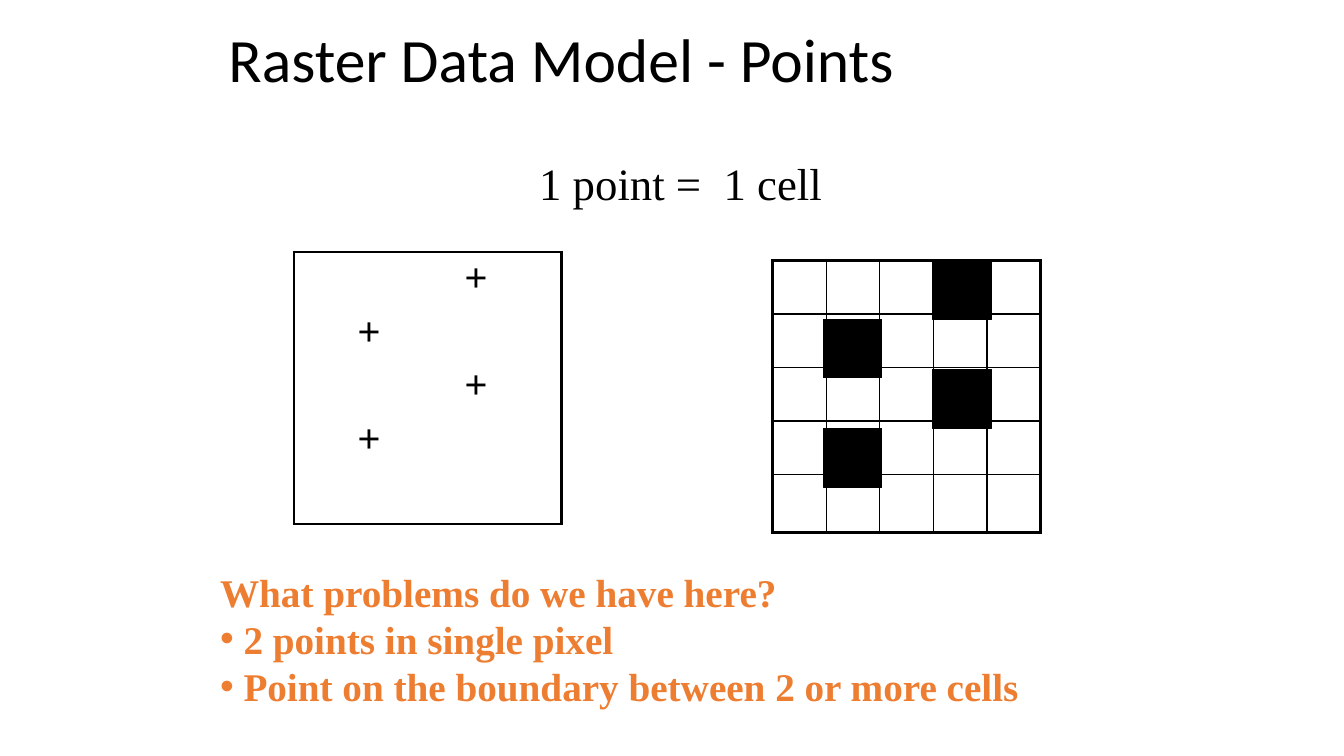
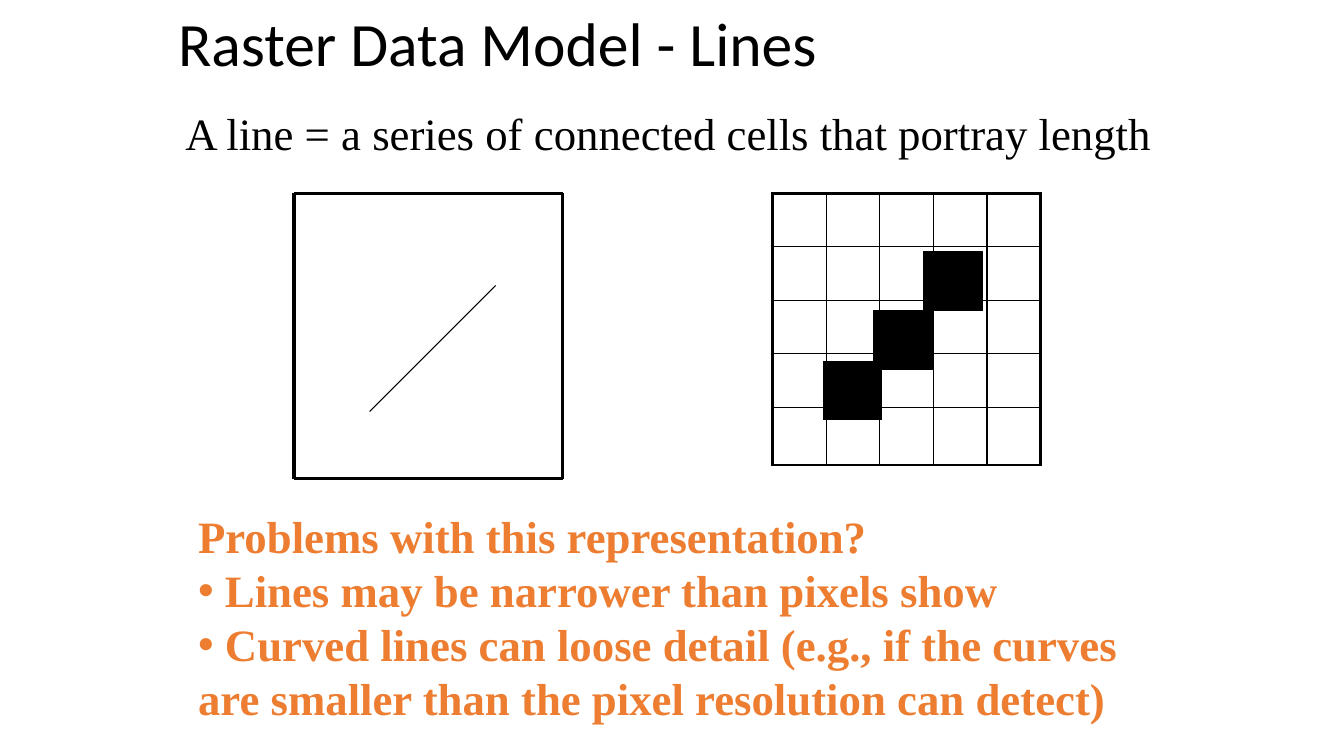
from pptx import Presentation
from pptx import util as u
from pptx.dml.color import RGBColor
from pptx.enum import shapes, text
from pptx.oxml.ns import qn
from lxml import etree

PX = 9525
BLACK, ORANGE = "000000", "ED7D31"
SERIF = {"name": "Times New Roman", "size": u.Pt(32)}
LIST = {"name": "Times New Roman", "bold": True}
TITLE = {"name": "Calibri", "size": u.Pt(44)}
MARK = {"name": "Arial", "size": u.Pt(28)}
LEFT, RIGHT = 280, 736
CELL, LAST, COUNT = 51, 55, 5
THICK, THIN, HAIR = 2.25, 1, 0.75


def color(code):
    return RGBColor.from_string(code)


def px(*nums):
    return [u.Emu(n * PX) for n in nums]


def put(obj, vals):
    for key, val in vals.items():
        setattr(obj, key, val)


def edge(props, side, spot, width):
    line = etree.Element(qn("a:ln" + side), w=str(u.Pt(width)))
    if width:
        fill = etree.SubElement(line, qn("a:solidFill"))
        etree.SubElement(fill, qn("a:srgbClr"), val=BLACK)
    else:
        etree.SubElement(line, qn("a:noFill"))
    props.insert(spot, line)


class Deck:
    def __init__(self):
        self.show = Presentation()
        put(self.show, {"slide_width": 1280 * PX, "slide_height": 720 * PX})
        self.slide = None

    def start(self, title, box):
        self.slide = self.show.slides.add_slide(self.show.slide_layouts[1])
        head = self.slide.shapes.title
        self.place(head, box)
        head.text_frame.vertical_anchor = text.MSO_ANCHOR.MIDDLE
        para = head.text_frame.paragraphs[0]
        put(para, {"alignment": text.PP_ALIGN.LEFT, "line_spacing": 0.9})
        self.words(para, title, TITLE)

    def place(self, shape, box):
        put(shape, dict(zip(("left", "top", "width", "height"), px(*box))))
        put(shape.text_frame, {"word_wrap": True, "auto_size": text.MSO_AUTO_SIZE.NONE})

    def words(self, para, line, style, shade=BLACK):
        run = para.add_run()
        run.text = line
        put(run.font, style)
        run.font.color.rgb = color(shade)

    def label(self, line, box):
        shape = self.slide.shapes.add_textbox(*px(*box))
        shape.text_frame.word_wrap = True
        self.words(shape.text_frame.paragraphs[0], line, SERIF)

    def bullets(self, lines, box, size):
        body = self.slide.placeholders[1]
        self.place(body, box)
        frame = body.text_frame
        for i, line in enumerate(lines):
            para = frame.add_paragraph() if i else frame.paragraphs[0]
            props = para._p.get_or_add_pPr()
            for key in ("marL", "indent"):
                props.set(key, "0")
            if i:
                etree.SubElement(props, qn("a:buChar"), char="•")
            else:
                etree.SubElement(props, qn("a:buNone"))
            put(para, {"space_before": u.Pt(0), "line_spacing": 1.0})
            self.words(para, line, {**LIST, "size": u.Pt(size)}, ORANGE)

    def grid(self, left, top, inner, marks=()):
        side = CELL * COUNT
        frame = self.slide.shapes.add_table(
            COUNT, COUNT, *px(left, top, side, side + LAST - CELL))
        table = frame.table
        put(table, {"first_row": False, "horz_banding": False})
        end = COUNT - 1
        for i in range(COUNT):
            table.columns[i].width = CELL * PX
            table.rows[i].height = (LAST if i == end else CELL) * PX
        for row in range(COUNT):
            for col in range(COUNT):
                cell = table.cell(row, col)
                cell.fill.background()
                put(cell, {"margin_top": 4 * PX, "margin_bottom": 0})
                rims = {"L": col == 0, "R": col == end, "T": row == 0, "B": row == end}
                for spot, (key, rim) in enumerate(rims.items()):
                    edge(cell._tc.tcPr, key, spot, THICK if rim else inner)
                if (row, col) in marks:
                    self.words(cell.text_frame.paragraphs[0], "+", MARK)

    def blocks(self, spots):
        for spot in spots:
            block = self.slide.shapes.add_shape(
                shapes.MSO_SHAPE.RECTANGLE, *px(*spot, 56, 56))
            block.shadow.inherit = False
            block.fill.solid()
            block.fill.fore_color.rgb = color(BLACK)
            block.line.color.rgb = color(BLACK)
            block.line.width = u.Pt(HAIR)

    def line(self, ends, width):
        line = self.slide.shapes.add_connector(shapes.MSO_CONNECTOR.STRAIGHT, *px(*ends))
        line.line.color.rgb = color(BLACK)
        line.line.width = u.Pt(width)
        etree.SubElement(line._element.spPr, qn("a:effectLst"))

    def frame(self, left, top, right, base):
        for y in (top, base):
            self.line((left, y, right, y), THICK)
        for x in (left, right):
            self.line((x, top, x, base), THICK)


def points(deck):
    deck.start("Raster Data Model - Points", (208, 0, 864, 120))
    deck.label("1 point =  1 cell", (504, 144, 320, 60))
    deck.grid(LEFT, 240, 0, {(0, 3), (1, 1), (2, 3), (3, 1)})
    deck.grid(RIGHT, 248, THIN)
    deck.blocks([(888, 248), (784, 304), (888, 352), (784, 408)])
    deck.bullets(["What problems do we have here?",
                  " 2 points in single pixel",
                  " Point on the boundary between 2 or more cells"],
                 (200, 536, 860, 144), 28)


def lines(deck):
    deck.start("Raster Data Model - Lines", (160, -16, 960, 120))
    deck.label("A line = a series of connected cells that portray length",
               (167, 96, 980, 60))
    deck.grid(RIGHT, 184, THIN)
    deck.frame(LEFT, 184, 536, 456)
    deck.line((472, 272, 352, 392), HAIR)
    deck.blocks([(880, 240), (832, 296), (784, 344)])
    deck.bullets(["Problems with this representation?",
                  " Lines may be narrower than pixels show",
                  " Curved lines can loose detail (e.g., if the curves are smaller"
                  " than the pixel resolution can detect)"],
                 (179, 480, 941, 217), 32)


def main():
    deck = Deck()
    points(deck)
    lines(deck)
    deck.show.save("out.pptx")


if __name__ == "__main__":
    main()
